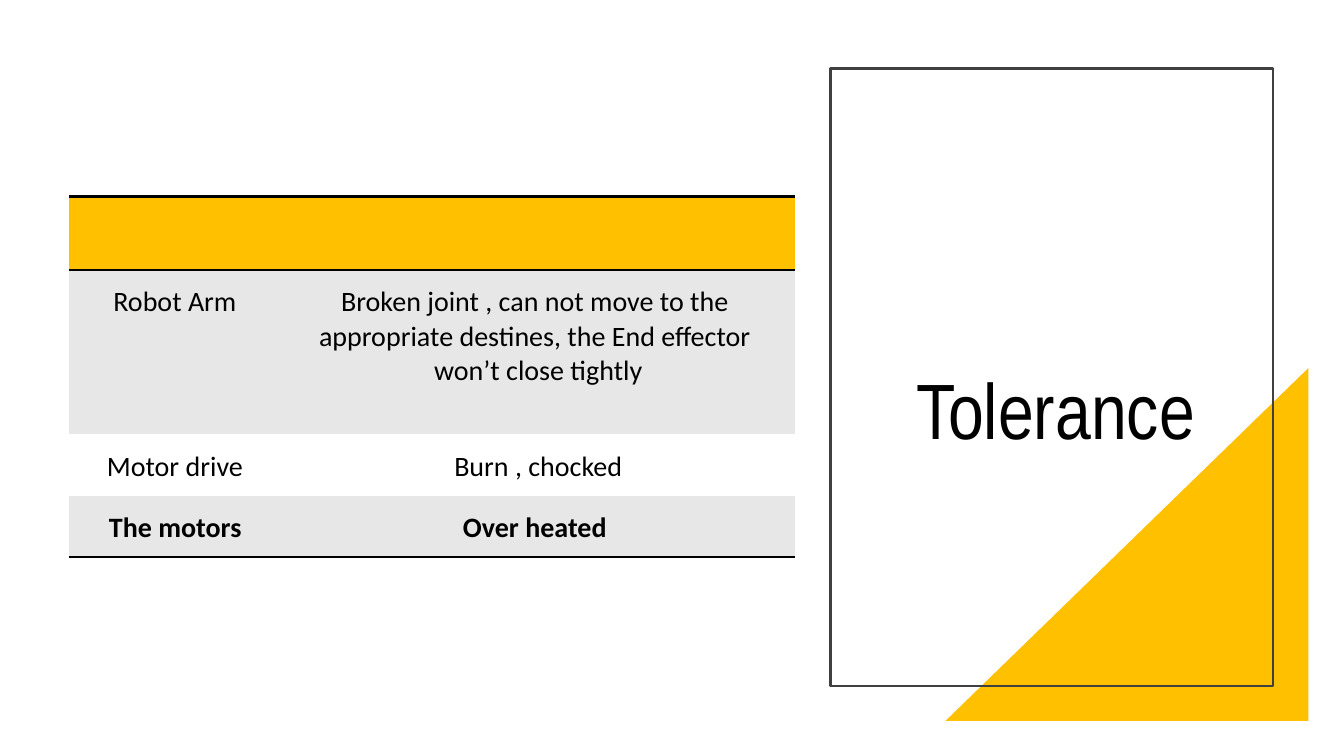
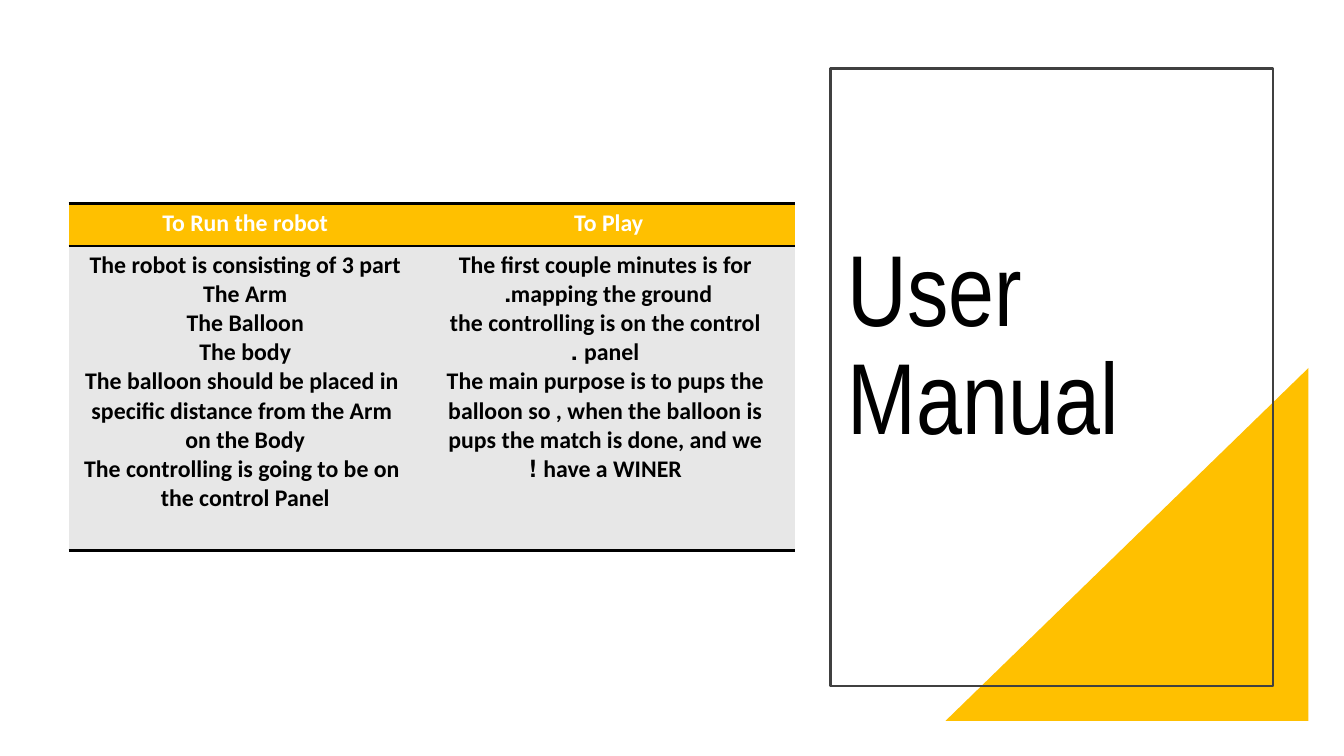
"""Build two robot slides, each with a table beside a framed title."""

from dataclasses import dataclass

from lxml.etree import SubElement
from pptx import Presentation
from pptx.dml.color import RGBColor as Rgb
from pptx.enum.shapes import MSO_SHAPE as Preset
from pptx.enum.text import MSO_ANCHOR as Anchor, PP_ALIGN as Align
from pptx.oxml import parse_xml
from pptx.oxml.ns import nsdecls, qn
from pptx.slide import Slide
from pptx.table import _Cell as Cell
from pptx.text.text import _Paragraph as Paragraph
from pptx.util import Inches, Length, Pt


@dataclass(frozen=True)
class Theme:
    accent: str = "FFC000"
    band: str = "E7E7E7"
    paper: str = "FFFFFF"
    ink: str = "000000"
    outline: str = "404040"
    title_font: str = "Arial Narrow"
    body_font: str = "Calibri"
    frame_width: float = 1.5
    rule_width: float = 2
    title_spacing: float = 0.9
    plain_table: str = "{2D5ABB26-0587-4C30-8999-92F81FD0307C}"


@dataclass(frozen=True)
class Area:
    """Percent shares of the slide's width and height."""

    left: float
    top: float
    width: float
    height: float


@dataclass(frozen=True)
class Title:
    text: str
    area: Area
    size: int
    align: Align


@dataclass(frozen=True)
class Row:
    height: float
    fill: str
    cells: tuple[tuple[str, ...], ...]
    bold: bool = False
    color: str = "000000"
    sides: tuple[str, ...] = ()


@dataclass(frozen=True)
class Grid:
    top: float
    columns: tuple[float, ...]
    rows: tuple[Row, ...]
    size: int
    margins: tuple[float, float, float, float]


THEME = Theme()
WIDTH, HEIGHT = Inches(13.33), Inches(7.5)
TRIANGLE = Area(70.36, 48.67, 27, 46.67)
FRAME = Area(61.8, 9.07, 32.93, 81.73)
TABLE_LEFT = 5.1
HEADER_SIDES = ("lnT", "lnB")
LAST_SIDES = ("lnB",)

PAGES = (
    (
        Title("Tolerance ", Area(66.08, 15.47, 26.25, 45.6), 56, Align.CENTER),
        Grid(26, (15.3, 38.78), (
            Row(9.73, THEME.accent, ((), ()), sides=HEADER_SIDES),
            Row(21.73, THEME.band, (
                ("Robot Arm ",),
                ("Broken joint , can not move to the appropriate destines, "
                 "the End effector won’t close tightly ",),
            )),
            Row(8.13, THEME.paper, (("Motor drive ",), ("Burn , chocked ",))),
            Row(8.13, THEME.band, (("The motors ",), ("Over heated",)),
                bold=True, sides=LAST_SIDES),
        ), 20, (0.15, 0.15, 0.15, 0.07)),
    ),
    (
        Title("User Manual", Area(62.33, 15.47, 33.53, 45.6), 72, Align.LEFT),
        Grid(26.93, (25.8, 28.28), (
            Row(5.6, THEME.accent, (("To Run the robot ",), ("To Play ",)),
                bold=True, color=THEME.paper, sides=HEADER_SIDES),
            Row(40.27, THEME.band, (
                ("The robot is consisting of 3 part ",
                 "The Arm ",
                 "The Balloon ",
                 "The body ",
                 "The balloon should be placed in specific distance "
                 "from the Arm on the Body ",
                 "The controlling is going to be on the control Panel "),
                ("The first couple minutes is for mapping the ground. ",
                 "the controlling is on the control panel .",
                 "The main purpose is to pups the balloon so , when the balloon "
                 "is pups the match is done, and we have a WINER !"),
            ), bold=True, sides=LAST_SIDES),
        ), 17, (0.1, 0.05, 0.1, 0.05)),
    ),
)


def across(share: float) -> Length:
    """Turn a percent share of the slide's width into a length."""
    return Length(round(WIDTH * share / 100))


def down(share: float) -> Length:
    """Turn a percent share of the slide's height into a length."""
    return Length(round(HEIGHT * share / 100))


def place(area: Area) -> tuple[Length, Length, Length, Length]:
    """Return left, top, width and height of an area."""
    return across(area.left), down(area.top), across(area.width), down(area.height)


def add_span(para: Paragraph, text: str, font: str, size: int,
             color: str, bold: bool = False) -> None:
    """Add one formatted run to a paragraph."""
    span = para.add_run()
    span.text = text
    span.font.name = font
    span.font.size = Pt(size)
    span.font.bold = bold
    span.font.color.rgb = Rgb.from_string(color)


def draw_backdrop(page: Slide) -> None:
    """Draw the corner triangle and the title frame."""
    triangle = page.shapes.add_shape(Preset.RIGHT_TRIANGLE, *place(TRIANGLE))
    triangle.shadow.inherit = False
    triangle.fill.solid()
    triangle.fill.fore_color.rgb = Rgb.from_string(THEME.accent)
    triangle.line.fill.background()
    triangle._element.spPr.find(qn("a:xfrm")).set("flipH", "1")

    frame = page.shapes.add_shape(Preset.RECTANGLE, *place(FRAME))
    frame.shadow.inherit = False
    frame.fill.background()
    frame.line.color.rgb = Rgb.from_string(THEME.outline)
    frame.line.width = Pt(THEME.frame_width)


def draw_title(page: Slide, title: Title) -> None:
    """Draw the title at the bottom of its area."""
    box = page.shapes.add_textbox(*place(title.area)).text_frame
    box.word_wrap = True
    box.vertical_anchor = Anchor.BOTTOM
    para = box.paragraphs[0]
    para.alignment = title.align
    para.line_spacing = THEME.title_spacing
    add_span(para, title.text, THEME.title_font, title.size, THEME.ink)


def rule_cell(cell: Cell, sides: tuple[str, ...]) -> None:
    """Add solid borders to the named sides of a cell."""
    properties = cell._tc.get_or_add_tcPr()
    for position, side in enumerate(sides):
        border = parse_xml(f'<a:{side} {nsdecls("a")} w="{Pt(THEME.rule_width)}"/>')
        fill = SubElement(border, qn("a:solidFill"))
        SubElement(fill, qn("a:srgbClr"), val=THEME.ink)
        properties.insert(position, border)


def fill_cell(cell: Cell, lines: tuple[str, ...], row: Row, grid: Grid) -> None:
    """Fill, rule and write one table cell."""
    cell.fill.solid()
    cell.fill.fore_color.rgb = Rgb.from_string(row.fill)
    rule_cell(cell, row.sides)
    (cell.margin_left, cell.margin_top,
     cell.margin_right, cell.margin_bottom) = map(Inches, grid.margins)
    box = cell.text_frame
    for index, line in enumerate(lines):
        para = box.add_paragraph() if index else box.paragraphs[0]
        para.alignment = Align.CENTER
        para._p.get_or_add_pPr().set("rtl", "1")
        add_span(para, line, THEME.body_font, grid.size, row.color, row.bold)


def draw_table(page: Slide, grid: Grid) -> None:
    """Draw a table with right-to-left paragraphs."""
    area = Area(TABLE_LEFT, grid.top, sum(grid.columns),
                sum(row.height for row in grid.rows))
    table = page.shapes.add_table(
        len(grid.rows), len(grid.columns), *place(area)).table
    table.horz_banding = False
    table._tbl.tblPr.find(qn("a:tableStyleId")).text = THEME.plain_table
    for column, width in zip(table.columns, grid.columns):
        column.width = across(width)
    for line, row in zip(table.rows, grid.rows):
        line.height = down(row.height)
        for cell, lines in zip(line.cells, row.cells):
            fill_cell(cell, lines, row, grid)


def main() -> None:
    """Build and save the deck."""
    deck = Presentation()
    deck.slide_width, deck.slide_height = WIDTH, HEIGHT
    for title, grid in PAGES:
        page = deck.slides.add_slide(deck.slide_layouts[6])
        draw_backdrop(page)
        draw_title(page, title)
        draw_table(page, grid)
    deck.save("out.pptx")


if __name__ == "__main__":
    main()
